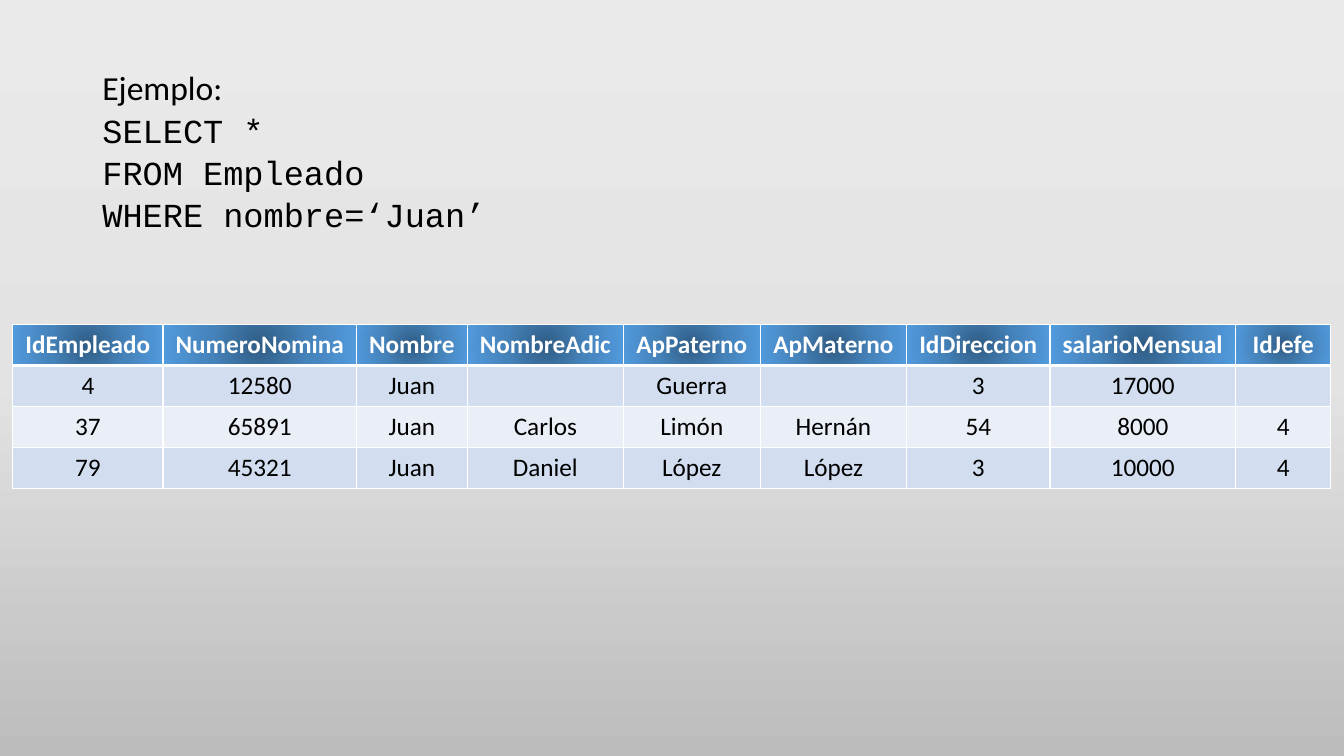
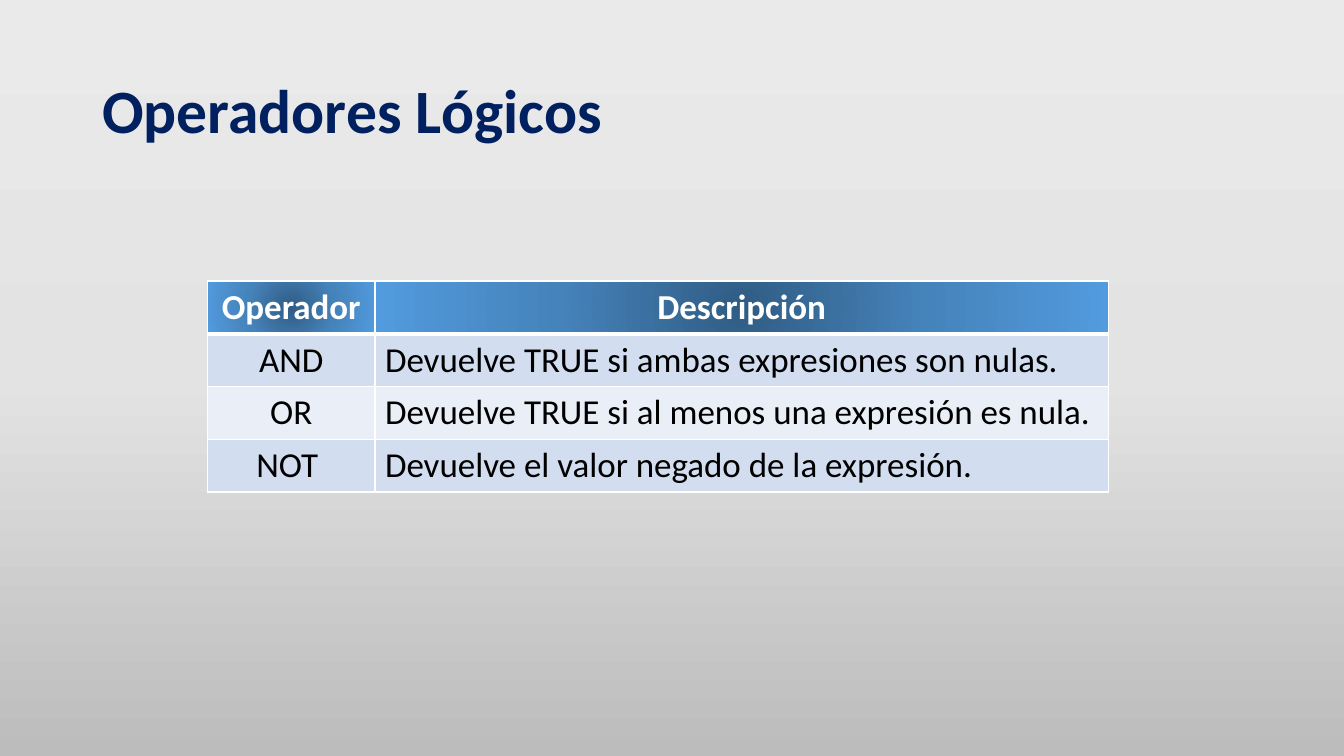
import pptx
import pptx.util
import pptx.dml.color
import pptx.enum.text
import pptx.oxml
import pptx.oxml.ns

Cm, Pt = pptx.util.Cm, pptx.util.Pt
ALIGN = pptx.enum.text.PP_ALIGN
MID = pptx.enum.text.MSO_ANCHOR.MIDDLE
NS = pptx.oxml.ns.nsdecls("a")

INK, WHITE, NAVY = "000000", "FFFFFF", "002060"
BANDS = ["D2DEEF", "EAEFF7"]
BACK = ["EBEAEA", "E4E3E3", "BDBCBC"]
HEAD = ["305C84", "4583BB", "529BDE"]
DOWN = '<a:lin ang="5400000" scaled="0"/>'
ROUND = ('<a:path path="circle"><a:fillToRect l="50000" t="50000" '
         'r="50000" b="50000"/></a:path>')

QUERY = [
    ("Ejemplo:", "Calibri"),
    ("SELECT *", "Courier New"),
    ("FROM Empleado", "Courier New"),
    ("WHERE nombre=‘Juan’", "Courier New"),
]
TITLE = "Operadores Lógicos"

STAFF = {
    "at": (0.32, 8.18), "high": 1.03, "size": 18, "left": [],
    "cols": [3.79, 4.87, 2.8, 3.93, 3.45, 3.69, 3.61, 4.68, 2.4],
    "rows": [
        ["IdEmpleado", "NumeroNomina", "Nombre", "NombreAdic", "ApPaterno",
         "ApMaterno", "IdDireccion", "salarioMensual", "IdJefe"],
        ["4", "12580", "Juan", "", "Guerra", "", "3", "17000", ""],
        ["37", "65891", "Juan", "Carlos", "Limón", "Hernán", "54", "8000", "4"],
        ["79", "45321", "Juan", "Daniel", "López", "López", "3", "10000", "4"],
    ],
}
LOGIC = {
    "at": (5.23, 7.08), "high": 1.33, "size": 25, "left": [1],
    "cols": [4.22, 18.48],
    "rows": [
        ["Operador", "Descripción"],
        ["AND", "Devuelve TRUE si ambas expresiones son nulas."],
        ["OR", "Devuelve TRUE si al menos una expresión es nula."],
        ["NOT ", "Devuelve el valor negado de la expresión."],
    ],
}


def color(code):
    return pptx.dml.color.RGBColor.from_string(code)


def write(para, text, size=18, font="Calibri", ink=INK, bold=False,
          align=ALIGN.LEFT, line=None, gap=None):
    para.alignment = align
    para.line_spacing = line
    if gap is not None:
        para.space_before = Pt(gap)
    if text:
        run = para.add_run()
        run.text = text
        run.font.size = Pt(size)
        run.font.name = font
        run.font.bold = bold
        run.font.color.rgb = color(ink)


def blend(fill, node, codes, shade):
    fill.solid()
    old = node.find(".//" + pptx.oxml.ns.qn("a:solidFill"))
    stops = "".join(
        f'<a:gs pos="{i * 50000}"><a:srgbClr val="{code}"/></a:gs>'
        for i, code in enumerate(codes))
    new = pptx.oxml.parse_xml(
        f'<a:gradFill {NS} rotWithShape="1"><a:gsLst>{stops}</a:gsLst>'
        f'{shade}</a:gradFill>')
    old.getparent().replace(old, new)


def border(cell, top, base):
    prop = cell._tc.get_or_add_tcPr()
    widths = {"L": 1, "R": 1, "T": top, "B": base}
    for i, (side, width) in enumerate(widths.items()):
        prop.insert(i, pptx.oxml.parse_xml(
            f'<a:ln{side} {NS} w="{Pt(width)}"><a:solidFill>'
            f'<a:srgbClr val="{WHITE}"/></a:solidFill></a:ln{side}>'))


def frame(slide, left, top, width, height):
    box = slide.shapes.add_textbox(Cm(left), Cm(top), Cm(width), Cm(height))
    box.text_frame.word_wrap = True
    return box.text_frame


def grid(slide, data):
    rows, cols, high = data["rows"], data["cols"], data["high"]
    left, top = data["at"]
    table = slide.shapes.add_table(
        len(rows), len(cols), Cm(left), Cm(top),
        Cm(sum(cols)), Cm(high * len(rows))).table
    for col, width in zip(table.columns, cols):
        col.width = Cm(width)
    for r, row in enumerate(rows):
        table.rows[r].height = Cm(high)
        head = r == 0
        for c, text in enumerate(row):
            cell = table.cell(r, c)
            if head:
                blend(cell.fill, cell._tc, HEAD, ROUND)
            else:
                cell.fill.solid()
                cell.fill.fore_color.rgb = color(BANDS[(r - 1) % 2])
            border(cell, 3 if r == 1 else 1, 3 if head else 1)
            flush = c in data["left"] and not head
            write(cell.text_frame.paragraphs[0], text, size=data["size"],
                  ink=WHITE if head else INK, bold=head,
                  align=ALIGN.LEFT if flush else ALIGN.CENTER)


def main():
    deck = pptx.Presentation()
    deck.slide_width, deck.slide_height = Cm(33.87), Cm(19.05)
    master = deck.slide_master
    blend(master.background.fill,
          master.element.find(".//" + pptx.oxml.ns.qn("p:bg")), BACK, DOWN)
    blank = deck.slide_layouts[6]

    query = deck.slides.add_slide(blank)
    body = frame(query, 2.33, 1.85, 29.21, 4.55)
    for i, (text, font) in enumerate(QUERY):
        para = body.add_paragraph() if i else body.paragraphs[0]
        write(para, text, size=24, font=font, line=0.7, gap=10)
    grid(query, STAFF)

    logic = deck.slides.add_slide(blank)
    title = frame(logic, 2.33, 1.02, 14.25, 3.68)
    title.vertical_anchor = MID
    write(title.paragraphs[0], TITLE, size=44, ink=NAVY, bold=True, line=0.9)
    grid(logic, LOGIC)

    deck.save("out.pptx")


if __name__ == "__main__":
    main()
